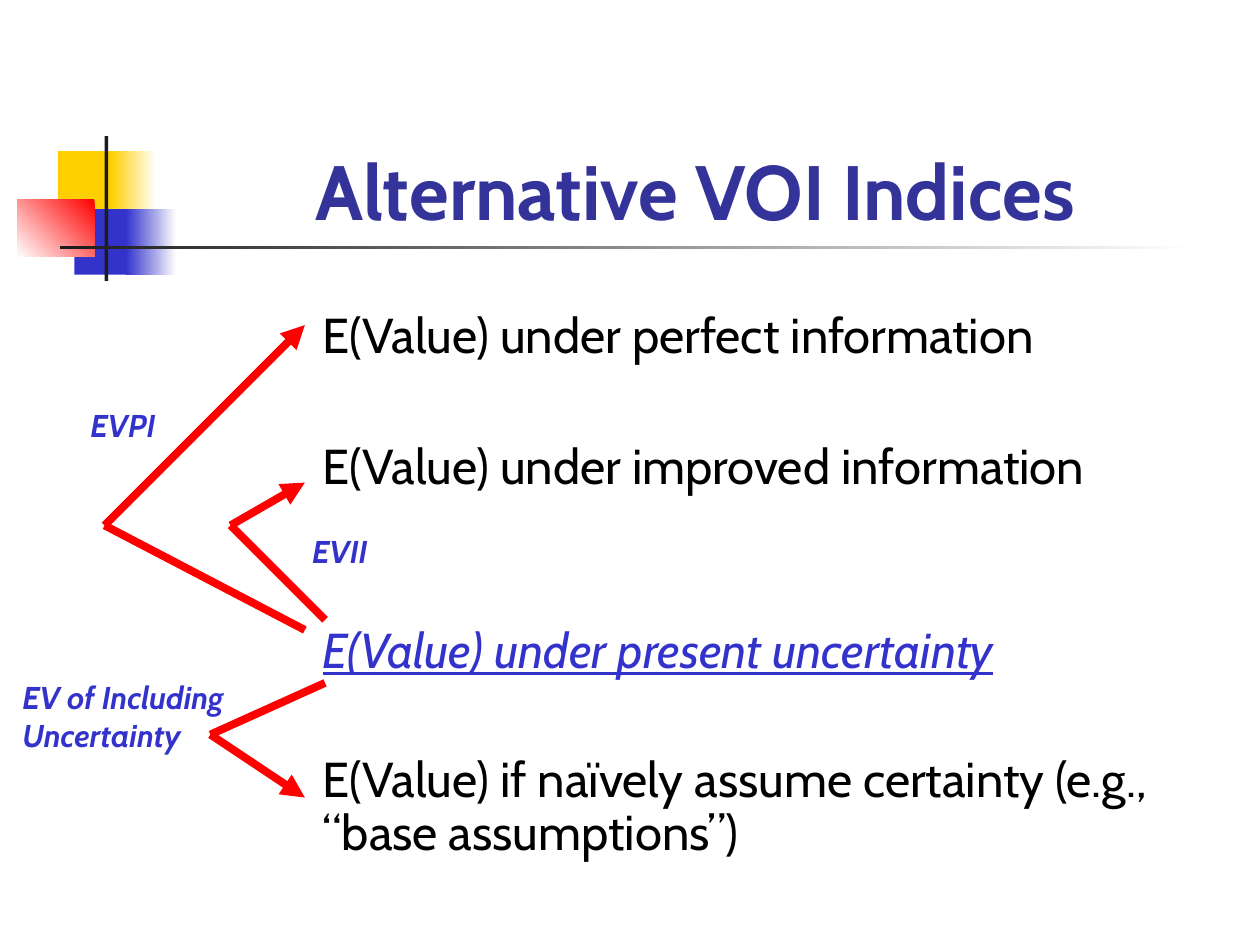
"""Build the slide on alternative value-of-information indices."""
from itertools import pairwise

from lxml.etree import SubElement
from pptx import Presentation
from pptx.dml.color import RGBColor
from pptx.enum.shapes import MSO_CONNECTOR, MSO_SHAPE
from pptx.enum.text import MSO_ANCHOR, MSO_AUTO_SIZE, PP_ALIGN
from pptx.oxml.ns import qn
from pptx.util import Inches, Pt

theme = {
    "font": "Cabin",
    "white": RGBColor.from_string("FFFFFF"),
    "black": RGBColor.from_string("000000"),
    "charcoal": RGBColor.from_string("1C1C1C"),
    "yellow": RGBColor.from_string("FFCF01"),
    "blue": RGBColor.from_string("3333CC"),
    "navy": RGBColor.from_string("333399"),
    "red": RGBColor.from_string("FF0000"),
    "title_size": Pt(44),
    "body_size": Pt(28),
    "label_size": Pt(18),
    "arrow_width": Pt(4.5),
}


def add_span(para, text, size, color, **formats):
    span = para.add_run()
    span.text = text
    span.font.color.rgb = theme[color]
    for name, value in {"name": theme["font"], "size": theme[size], **formats}.items():
        setattr(span.font, name, value)


def place(shape, left, top, width, height):
    box = {"left": left, "top": top, "width": width, "height": height}
    for name, value in box.items():
        setattr(shape, name, Inches(value))


deck = Presentation()
deck.slide_width, deck.slide_height = Inches(10), Inches(7.5)
slide = deck.slides.add_slide(deck.slide_layouts[1])
title, body = slide.placeholders

ornaments = [
    ((0.46, 1.2, 0.48, 0.52), ["yellow"], None),
    ((0.88, 1.2, 0.36, 0.52), ["white", "yellow"], 180),
    ((0.59, 1.66, 0.46, 0.52), ["blue"], None),
    ((1, 1.66, 0.4, 0.52), ["white", "blue"], 180),
    ((0.14, 1.58, 0.61, 0.46), ["red", "white"], 225),
    ((0.83, 1.08, 0.03, 1.15), ["charcoal"], None),
    ((0.48, 1.95, 9, 0.03), ["white", "charcoal"], 180),
]
for bounds, colors, angle in ornaments:
    ornament = slide.shapes.add_shape(MSO_SHAPE.RECTANGLE, *map(Inches, bounds))
    ornament.shadow.inherit = False
    ornament.line.fill.background()
    if angle is None:
        ornament.fill.solid()
        ornament.fill.fore_color.rgb = theme[colors[0]]
    else:
        ornament.fill.gradient()
        ornament.fill.gradient_angle = angle
        for stop, color in zip(ornament.fill.gradient_stops, colors):
            stop.color.rgb = theme[color]

for placeholder in (title, body):
    placeholder.element.getparent().append(placeholder.element)
    placeholder.text_frame.auto_size = MSO_AUTO_SIZE.NONE

place(title, 1.26, 0.67, 8.52, 1.25)
title.text_frame.vertical_anchor = MSO_ANCHOR.BOTTOM
heading = title.text_frame.paragraphs[0]
heading.alignment = PP_ALIGN.CENTER
add_span(heading, "Alternative VOI Indices", "title_size", "navy", bold=True)

place(body, 2.46, 2.42, 7.38, 4.5)
body.text_frame.vertical_anchor = MSO_ANCHOR.TOP
outcomes = [
    ("E(Value) under perfect information", "black", 0.9, {}),
    ("E(Value) under improved information", "black", 0.9, {}),
    ("E(Value) under present uncertainty", "blue", 1.8, {"italic": True, "underline": True}),
    ("E(Value) if naïvely assume certainty (e.g., “base assumptions”)", "black", 0.9, {}),
]
for index, (text, color, spacing, formats) in enumerate(outcomes):
    para = body.text_frame.paragraphs[0] if index == 0 else body.text_frame.add_paragraph()
    para.line_spacing = spacing
    para.space_before = Pt(44.3 if index else 0)
    properties = para._p.get_or_add_pPr()
    properties.set("marL", "0")
    properties.set("indent", "0")
    SubElement(properties, qn("a:buNone"))
    add_span(para, text, "body_size", color, **formats)

comparisons = [
    [(2.42, 5), (0.83, 4.17), (2.42, 2.58)],
    [(2.58, 4.92), (1.83, 4.17), (2.42, 3.83)],
    [(2.58, 5.42), (1.67, 5.83), (2.42, 6.33)],
]
for points in comparisons:
    for start, end in pairwise(points):
        arrow = slide.shapes.add_connector(MSO_CONNECTOR.STRAIGHT, *map(Inches, start + end))
        arrow.line.color.rgb = theme["red"]
        arrow.line.width = theme["arrow_width"]
        if end == points[-1]:
            SubElement(arrow.line._get_or_add_ln(), qn("a:tailEnd"), type="triangle")
        SubElement(arrow._element.spPr, qn("a:effectLst"))

labels = [
    ((0.62, 3.17, 0.73, 0.4), ["EVPI"]),
    ((2.38, 4.17, 0.67, 0.4), ["EVII"]),
    ((0.08, 5.33, 1.96, 0.7), ["EV of Including", "Uncertainty"]),
]
for bounds, lines in labels:
    frame = slide.shapes.add_textbox(*map(Inches, bounds)).text_frame
    frame.word_wrap = False
    frame.auto_size = MSO_AUTO_SIZE.SHAPE_TO_FIT_TEXT
    for index, text in enumerate(lines):
        para = frame.add_paragraph() if index else frame.paragraphs[0]
        add_span(para, text, "label_size", "blue", bold=True, italic=True)

deck.save("out.pptx")
